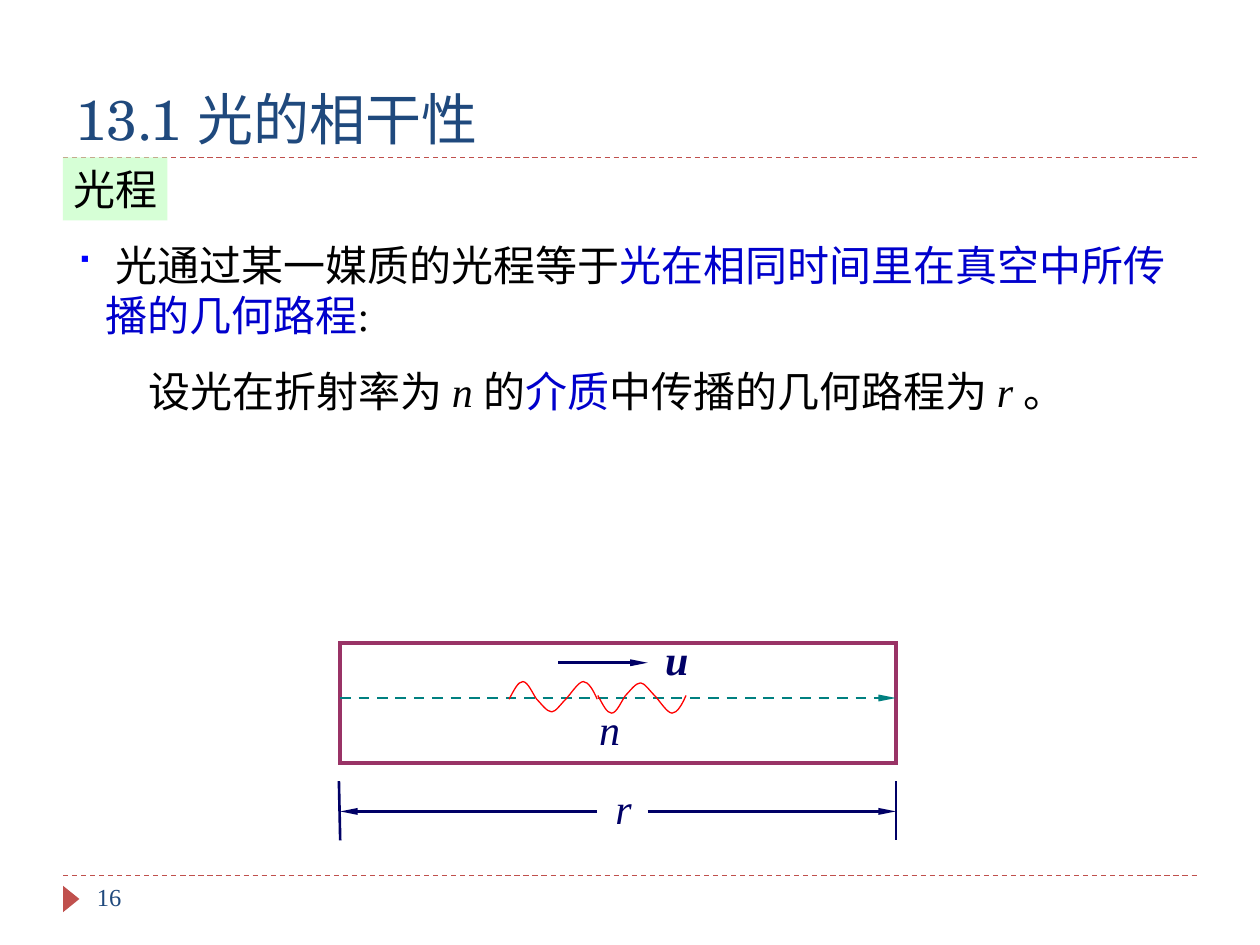
"""Build a slide that explains the optical path length of light."""
from dataclasses import dataclass, field

from lxml import etree
from pptx import Presentation
from pptx import util as u
from pptx.dml.color import RGBColor
from pptx.enum import dml, shapes, text
from pptx.oxml.ns import qn

CELL = u.Inches(0.1)
COLS, ROWS = 100, 75
BLACK = RGBColor(0x00, 0x00, 0x00)
BLUE = RGBColor(0x00, 0x00, 0xCC)
MARK = RGBColor(0x00, 0x00, 0xFF)
NAVY = RGBColor(0x00, 0x00, 0x66)
STEEL = RGBColor(0x1F, 0x49, 0x7D)
BRICK = RGBColor(0xC0, 0x50, 0x4D)
MINT = RGBColor(0xCC, 0xFF, 0xCC)
PLUM = RGBColor(0x99, 0x33, 0x66)
TEAL = RGBColor(0x00, 0x80, 0x80)
RED = RGBColor(0xFF, 0x00, 0x00)
SERIF = "Times New Roman"
LEFT, RIGHT = 27, 71.1
AXIS, SPAN = 55.4, 64.4


@dataclass
class Run:
    """A stretch of text with its look."""
    words: str
    color: RGBColor = BLACK
    size: float = 24
    face: str = SERIF
    bold: bool = False
    italic: bool = False


@dataclass
class Label:
    """A text box placed in grid cells."""
    box: tuple
    runs: list
    form: dict = field(default_factory=dict)
    align: text.PP_ALIGN = text.PP_ALIGN.LEFT


@dataclass
class Rule:
    """A straight line between two grid points."""
    start: tuple
    end: tuple
    color: RGBColor = NAVY
    width: float = 1.5
    dash: bool = False
    arrow: bool = False


def cells(*nums: float) -> list:
    """Turn grid cells into lengths."""
    return [u.Emu(round(n * CELL)) for n in nums]


def assign(item, values: dict) -> None:
    """Set each named attribute on an item."""
    for name, value in values.items():
        setattr(item, name, value)


def write(shape, runs: list, form: dict, align: text.PP_ALIGN) -> None:
    """Fill the first paragraph of a shape."""
    frame = shape.text_frame
    assign(frame, {"word_wrap": True, **form})
    para = frame.paragraphs[0]
    para.alignment = align
    for part in runs:
        run = para.add_run()
        run.text = part.words
        assign(run.font, {"size": u.Pt(part.size), "name": part.face,
                          "bold": part.bold, "italic": part.italic})
        run.font.color.rgb = part.color


def label(tree, item: Label):
    """Add a text box."""
    box = tree.add_textbox(*cells(*item.box))
    write(box, item.runs, item.form, item.align)
    return box


def bullet(box, sign: str, color: RGBColor, hang: float) -> None:
    """Give the first paragraph a coloured bullet and a hanging indent."""
    props = box.text_frame.paragraphs[0]._p.get_or_add_pPr()
    inset = cells(hang)[0]
    props.set("marL", str(inset))
    props.set("indent", str(-inset))
    tint = etree.SubElement(props, qn("a:buClr"))
    etree.SubElement(tint, qn("a:srgbClr"), val=str(color))
    etree.SubElement(props, qn("a:buFont"), typeface="Wingdings", charset="2")
    etree.SubElement(props, qn("a:buChar"), char=sign)


def rule(tree, item: Rule) -> None:
    """Add a straight line, dashed or with an arrowhead if asked."""
    line = tree.add_connector(shapes.MSO_CONNECTOR.STRAIGHT,
                              *cells(*item.start, *item.end))
    line.line.color.rgb = item.color
    line.line.width = u.Pt(item.width)
    if item.dash:
        line.line.dash_style = dml.MSO_LINE.DASH
    if item.arrow:
        etree.SubElement(line.line._get_or_add_ln(), qn("a:tailEnd"),
                         type="triangle", w="sm", len="lg")
    etree.SubElement(line._element.spPr, qn("a:effectLst"))


def block(tree, kind, box: tuple, fill=None, edge=None, width: float = 0):
    """Add a preset shape with a plain fill or a sharp outline."""
    shape = tree.add_shape(kind, *cells(*box))
    shape.shadow.inherit = False
    if fill is None:
        shape.fill.background()
    else:
        shape.fill.solid()
        shape.fill.fore_color.rgb = fill
    if edge is None:
        shape.line.fill.background()
    else:
        shape.line.color.rgb = edge
        shape.line.width = u.Pt(width)
        etree.SubElement(shape.line._get_or_add_ln(), qn("a:miter"), lim="800000")
    return shape


def wave(tree, knots: list) -> None:
    """Draw an open red chain of cubic curves through the knots."""
    pen = tree.build_freeform(*cells(*knots[0]))
    pen.add_line_segments([cells(*knot) for knot in knots[1:]], close=False)
    curve = pen.convert_to_shape()
    legs = list(curve._element.iter(qn("a:lnTo")))
    for i in range(0, len(legs), 3):
        bend = etree.Element(qn("a:cubicBezTo"))
        legs[i].addprevious(bend)
        for leg in legs[i:i + 3]:
            bend.append(leg[0])
            leg.getparent().remove(leg)
    curve.shadow.inherit = False
    curve.fill.background()
    curve.line.color.rgb = RED
    curve.line.width = u.Pt(0.75)


def symbol(sign: str, x: float, y: float, bold: bool = False) -> Label:
    """Describe a letter of the diagram."""
    edges = ("left", "top", "right", "bottom")
    form = {f"margin_{edge}": u.Inches(0.01) for edge in edges}
    return Label((x, y, 7.4, 6.4), [Run(sign, NAVY, bold=bold, italic=True)],
                 form, text.PP_ALIGN.JUSTIFY)


def main() -> None:
    """Draw the slide and save it."""
    deck = Presentation()
    assign(deck, {"slide_width": COLS * CELL, "slide_height": ROWS * CELL})
    tree = deck.slides.add_slide(deck.slide_layouts[6]).shapes
    kinds = shapes.MSO_SHAPE

    for y in (69.5, 12.5):
        rule(tree, Rule((5, y), (95, y), BRICK, 0.75, dash=True))
    block(tree, kinds.ISOSCELES_TRIANGLE, (4.6, 70.7, 2.1, 1.3), BRICK).rotation = 90

    label(tree, Label((5, 2.5, 90, 10),
                      [Run("13.1 光的相干性", STEEL, 32, "TeX Gyre Schola")],
                      {"vertical_anchor": text.MSO_ANCHOR.BOTTOM}))
    label(tree, Label((6.7, 69.5, 21.7, 4), [Run("16", STEEL, 14)]))

    tag = block(tree, kinds.RECTANGLE, (5, 12.5, 8.3, 5), MINT)
    shade = tag.fill._xPr.find(qn("a:solidFill"))[0]
    etree.SubElement(shade, qn("a:alpha"), val="80000")
    write(tag, [Run("光程", face="Arial")],
          {"word_wrap": False, "vertical_anchor": text.MSO_ANCHOR.MIDDLE},
          text.PP_ALIGN.CENTER)

    claim = label(tree, Label((5, 18.5, 89.8, 9), [
        Run(" 光通过某一媒质的光程等于"),
        Run("光在相同时间里在真空中所传播的几何路程", BLUE), Run(":")]))
    bullet(claim, "■", MARK, 2.4)
    label(tree, Label((10.8, 28.5, 75.8, 5), [
        Run("设光在折射率为 "), Run("n ", italic=True), Run("的"),
        Run("介质", BLUE), Run("中传播的几何路程为 "),
        Run("r ", italic=True), Run("。")]))

    block(tree, kinds.RECTANGLE, (LEFT, 51, RIGHT - LEFT, 9.55),
          edge=PLUM, width=2.25)
    for item in (
            Rule((LEFT, AXIS), (RIGHT, AXIS), TEAL, dash=True, arrow=True),
            Rule((26.9, 62), (LEFT, 66.7)),
            Rule((RIGHT, 62), (RIGHT, 66.7)),
            Rule((51.4, SPAN), (RIGHT, SPAN), arrow=True),
            Rule((47.4, SPAN), (LEFT, SPAN), arrow=True),
            Rule((44.3, 52.6), (51.4, 52.6), arrow=True)):
        rule(tree, item)

    knots = [
        (40.4, 55.5), (40.8, 54.8), (41.1, 54.1), (41.5, 54.1),
        (41.9, 54.1), (42.3, 55.1), (42.6, 55.5), (43, 55.9),
        (43.4, 56.5), (43.8, 56.5), (44.1, 56.5), (44.5, 55.9),
        (44.9, 55.5), (45.3, 55.1), (45.9, 54.1), (46.3, 54.1),
        (46.7, 54.1), (47.1, 54.8), (47.4, 55.5)]
    wave(tree, knots)
    wave(tree, [(x + 7.05, 110.7 - y) for x, y in knots])
    for item in (symbol("n", 47.45, 55.7), symbol("r", 48.75, 62),
                 symbol("u", 52.7, 50.2, bold=True)):
        label(tree, item)
    deck.save("out.pptx")


if __name__ == "__main__":
    main()
